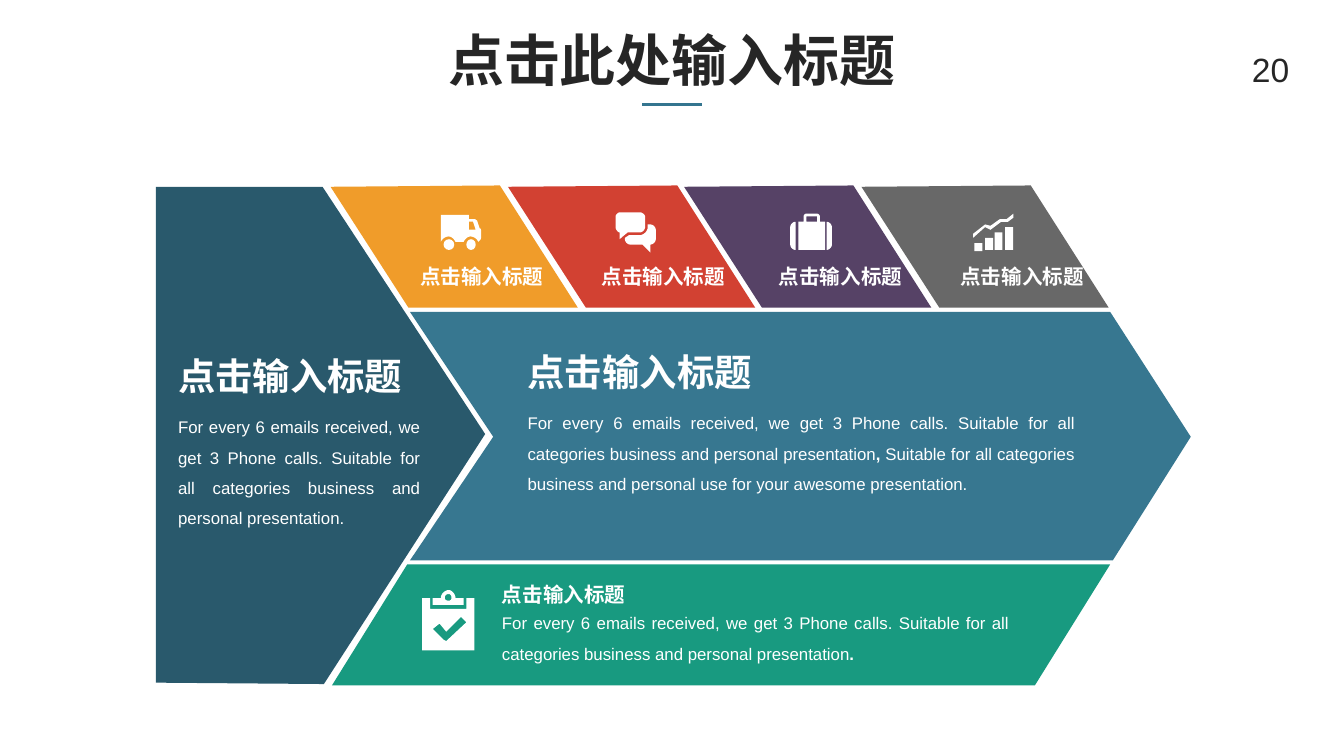
from pptx import Presentation
from pptx.dml.color import RGBColor
from pptx.enum.shapes import MSO_CONNECTOR, MSO_SHAPE
from pptx.enum.text import MSO_ANCHOR, MSO_AUTO_SIZE, PP_ALIGN
from pptx.oxml.ns import qn
from pptx.util import Pt
from lxml import etree

PX = 9144  # 100 px to the inch
CURVE_STEPS = 8

WHITE = RGBColor(0xFF, 0xFF, 0xFF)
INK = RGBColor(0x26, 0x26, 0x26)
RULE = RGBColor(0x34, 0x75, 0x8F)
NAVY = RGBColor(0x29, 0x59, 0x6C)
BLUE = RGBColor(0x37, 0x77, 0x90)
GREEN = RGBColor(0x18, 0x9A, 0x80)
ORANGE = RGBColor(0xF0, 0x9C, 0x2A)
RED = RGBColor(0xD2, 0x41, 0x32)
PURPLE = RGBColor(0x56, 0x42, 0x66)
GRAY = RGBColor(0x68, 0x68, 0x68)

HEADING = "点击输入标题"
SENTENCE = ("For every 6 emails received, we get 3 Phone calls. "
            "Suitable for all categories business and personal presentation")

presentation = Presentation()
presentation.slide_width = 1000 * PX
presentation.slide_height = 1000 * PX * 9 // 16
slide = presentation.slides.add_slide(presentation.slide_layouts[5])


def add_outline(fill, *contours):
    """Fill closed contours; a point is (x, y) or a cubic curve (x1, y1, x2, y2, x, y)."""
    builder = None
    for contour in contours:
        points = [contour[0]]
        for step in contour[1:]:
            if len(step) == 2:
                points.append(step)
                continue
            controls = [points[-1], step[:2], step[2:4], step[4:]]
            for i in range(1, CURVE_STEPS + 1):
                t = i / CURVE_STEPS
                weights = ((1 - t) ** 3, 3 * t * (1 - t) ** 2, 3 * t * t * (1 - t), t ** 3)
                points.append(tuple(sum(w * c[axis] for w, c in zip(weights, controls))
                                    for axis in (0, 1)))
        points = [(x * PX, y * PX) for x, y in points]
        if builder is None:
            builder = slide.shapes.build_freeform(*points[0], scale=1.0)
        else:
            builder.move_to(*points[0])
        builder.add_line_segments(points[1:], close=True)
    shape = builder.convert_to_shape()
    shape.shadow.inherit = False
    shape.fill.solid()
    shape.fill.fore_color.rgb = fill
    shape.line.fill.background()
    return shape


def add_text(box, runs, size, color=WHITE, wrap=True, align=None, spacing=None, shape=None):
    """Write (text, bold) runs in a new text box, or in the shape given, placed at box."""
    left, top, width, height = (n * PX for n in box)
    if shape is None:
        shape = slide.shapes.add_textbox(left, top, width, height)
        shape.text_frame.auto_size = MSO_AUTO_SIZE.SHAPE_TO_FIT_TEXT
    shape.left, shape.top, shape.width, shape.height = left, top, width, height
    frame = shape.text_frame
    frame.margin_left = frame.margin_right = Pt(5.4)
    frame.margin_top = frame.margin_bottom = Pt(2.7)
    frame.vertical_anchor = MSO_ANCHOR.TOP
    frame.word_wrap = wrap
    paragraph = frame.paragraphs[0]
    paragraph.alignment = align
    paragraph.line_spacing = spacing
    for text, bold in runs:
        run = paragraph.add_run()
        run.text = text
        run.font.name = "Arial"
        run.font.size = Pt(size)
        run.font.bold = bold
        run.font.color.rgb = color


# Title, rule and page number
add_text((69, 15, 862, 71), [("点击此处输入标题", True)], 30, INK,
         align=PP_ALIGN.CENTER, shape=slide.shapes.title)
slide.shapes.title.text_frame.auto_size = MSO_AUTO_SIZE.NONE
rule = slide.shapes.add_connector(MSO_CONNECTOR.STRAIGHT, 478 * PX, 78 * PX, 522 * PX, 78 * PX)
rule.line.color.rgb = RULE
rule.line.width = Pt(1.75)
etree.SubElement(rule.element.find(qn("p:spPr")), qn("a:effectLst"))
add_text((924, 33, 53, 30), [("20", False)], 18, INK)

# Coloured panels
add_outline(GREEN, [(303, 420), (826, 420), (770, 510), (247, 510)])
for index, color in enumerate((ORANGE, RED, PURPLE, GRAY)):
    left = 246 + round(index * 395 / 3)
    add_outline(color, [(left, 139), (left + 126, 138), (left + 184, 229), (left + 58, 229)])
add_outline(BLUE, [(305, 232), (826, 232), (886, 325), (828, 417), (305, 417), (367, 325)])
add_outline(NAVY, [(116, 139), (240, 139), (361, 323), (241, 509), (116, 508)])

# Headings and body text
for left, top, width, height, size in (
        (125, 259, 183, 41, 20), (385, 256, 183, 41, 20), (366, 429, 108, 26, 11),
        (305, 193, 108, 26, 11), (440, 193, 108, 26, 11),
        (572, 193, 108, 26, 11), (707, 193, 108, 26, 11)):
    add_text((left, top, width, height), [(HEADING, True)], size, wrap=False)
for box, runs in (
        ((125, 299, 195, 98), [(SENTENCE + ".", False)]),
        ((385, 296, 422, 76), [
            (SENTENCE, False), (", ", True),
            ("Suitable for all categories business and personal use "
             "for your awesome presentation.", False)]),
        ((366, 445, 392, 53), [(SENTENCE, False), (".", True)])):
    add_text(box, runs, 9, align=PP_ALIGN.JUSTIFY, spacing=1.5)

# Icons, each a list of outlines made of contours
clipboard = [
    [[(345, 445), (339, 445), (339, 442, 336, 439, 334, 439), (331, 439, 328, 442, 328, 445),
      (322, 445), (322, 450), (345, 450)],
     [(334, 447), (332, 447, 331, 446, 331, 445), (331, 443, 332, 442, 334, 442),
      (335, 442, 336, 443, 336, 445), (336, 446, 335, 447, 334, 447)]],
    [[(347, 445), (347, 453), (320, 453), (320, 445), (314, 445), (314, 484),
      (353, 484), (353, 445)],
     [(332, 477), (330, 476), (322, 468), (327, 464), (332, 470), (343, 459), (347, 463)]],
]
suitcase = [
    [[(588, 169), (588, 182), (588, 184, 590, 186, 592, 186), (592, 165),
      (590, 165, 588, 167, 588, 169)]],
    [[(610, 161), (610, 160, 609, 159, 608, 159), (600, 159), (599, 159, 598, 160, 598, 161),
      (598, 165), (594, 165), (594, 186), (614, 186), (614, 165), (610, 165)],
     [(608, 165), (600, 165), (600, 161), (608, 161)]],
    [[(615, 165), (615, 186), (617, 186, 619, 184, 619, 182), (619, 169),
      (619, 167, 617, 165, 615, 165)]],
]
speech_bubbles = [
    [[(484, 167), (482, 167), (482, 169), (482, 172, 479, 175, 476, 175), (468, 175),
      (465, 177), (465, 178), (465, 180, 467, 182, 469, 182), (478, 182), (484, 188),
      (484, 182), (486, 182, 488, 180, 488, 178), (488, 171), (488, 169, 486, 167, 484, 167)]],
    [[(467, 173), (476, 173), (478, 173, 480, 171, 480, 169), (480, 161),
      (480, 160, 478, 158, 476, 158), (461, 158), (460, 158, 458, 160, 458, 161),
      (458, 169), (458, 171, 460, 173, 461, 173), (461, 178)]],
]
truck = [
    [[(329, 160), (348, 160), (349, 160), (349, 163), (353, 163),
      (354, 163, 354, 164, 355, 164), (357, 170), (358, 170, 358, 171, 358, 172),
      (358, 177), (358, 178, 357, 179, 357, 179), (356, 180), (355, 178, 353, 176, 350, 176),
      (348, 176, 346, 178, 345, 180), (339, 180), (338, 178, 336, 176, 334, 176),
      (331, 176, 329, 178, 328, 180), (328, 160)],
     [(349, 171), (354, 171), (352, 165), (349, 165)]],
]
trend = [
    [[(749, 163), (744, 163), (737, 168), (733, 167), (724, 174), (724, 177), (733, 169),
      (737, 171), (745, 165), (750, 165), (754, 162), (754, 159)]],
]
wheels = [(347, 178, 7, 8), (330, 178, 8, 8)]
bars = [(725, 181, 6, 6), (733, 177, 6, 9), (740, 173, 6, 13), (748, 169, 6, 17)]

for outlines, preset, boxes in (
        (clipboard, None, []), (suitcase, None, []), (speech_bubbles, None, []),
        (truck, MSO_SHAPE.OVAL, wheels), (trend, MSO_SHAPE.RECTANGLE, bars)):
    parts = [add_outline(WHITE, *contours) for contours in outlines]
    for box in boxes:
        shape = slide.shapes.add_shape(preset, *(n * PX for n in box))
        shape.shadow.inherit = False
        shape.fill.solid()
        shape.fill.fore_color.rgb = WHITE
        shape.line.fill.background()
        parts.append(shape)
    slide.shapes.add_group_shape(parts)

presentation.save("out.pptx")
